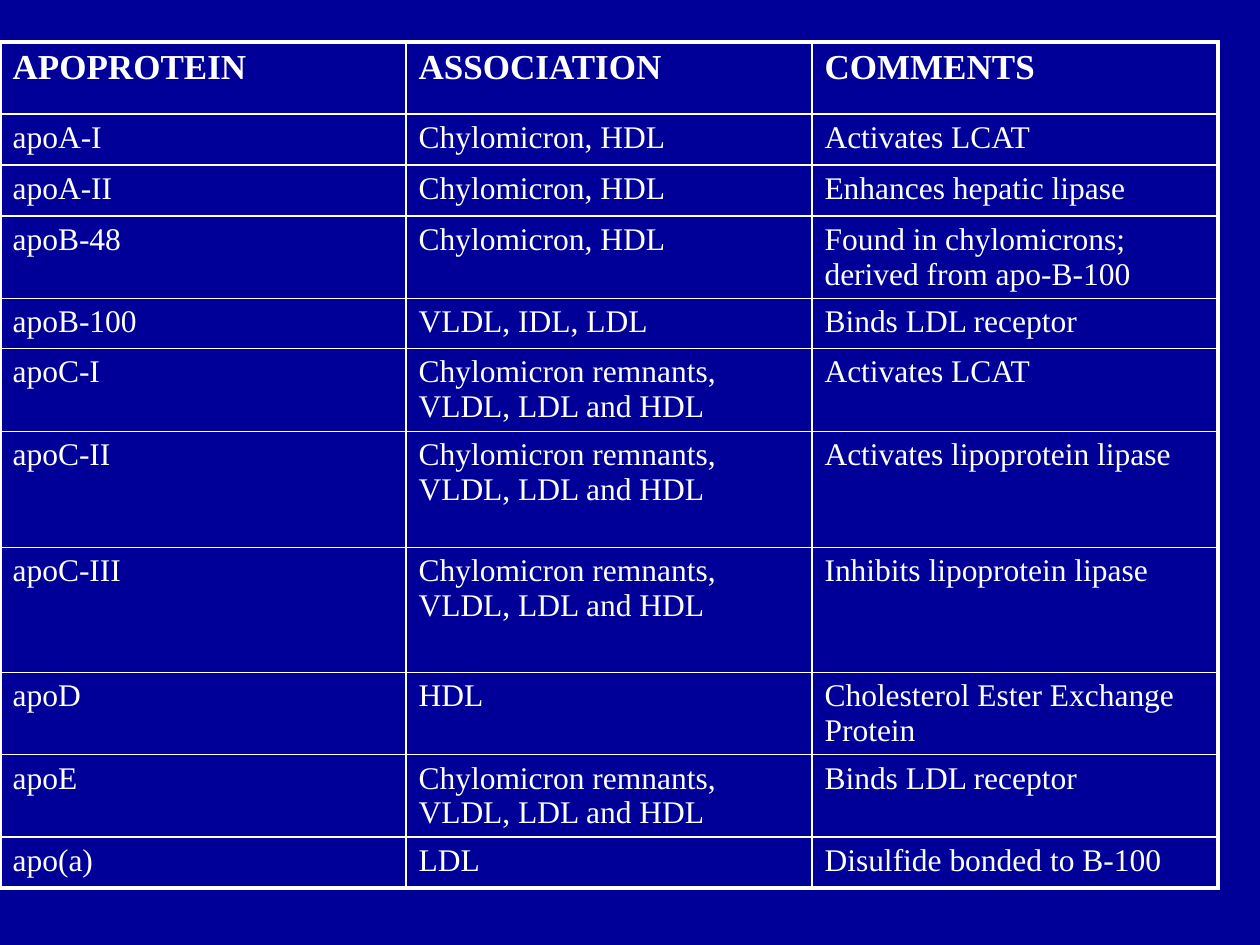
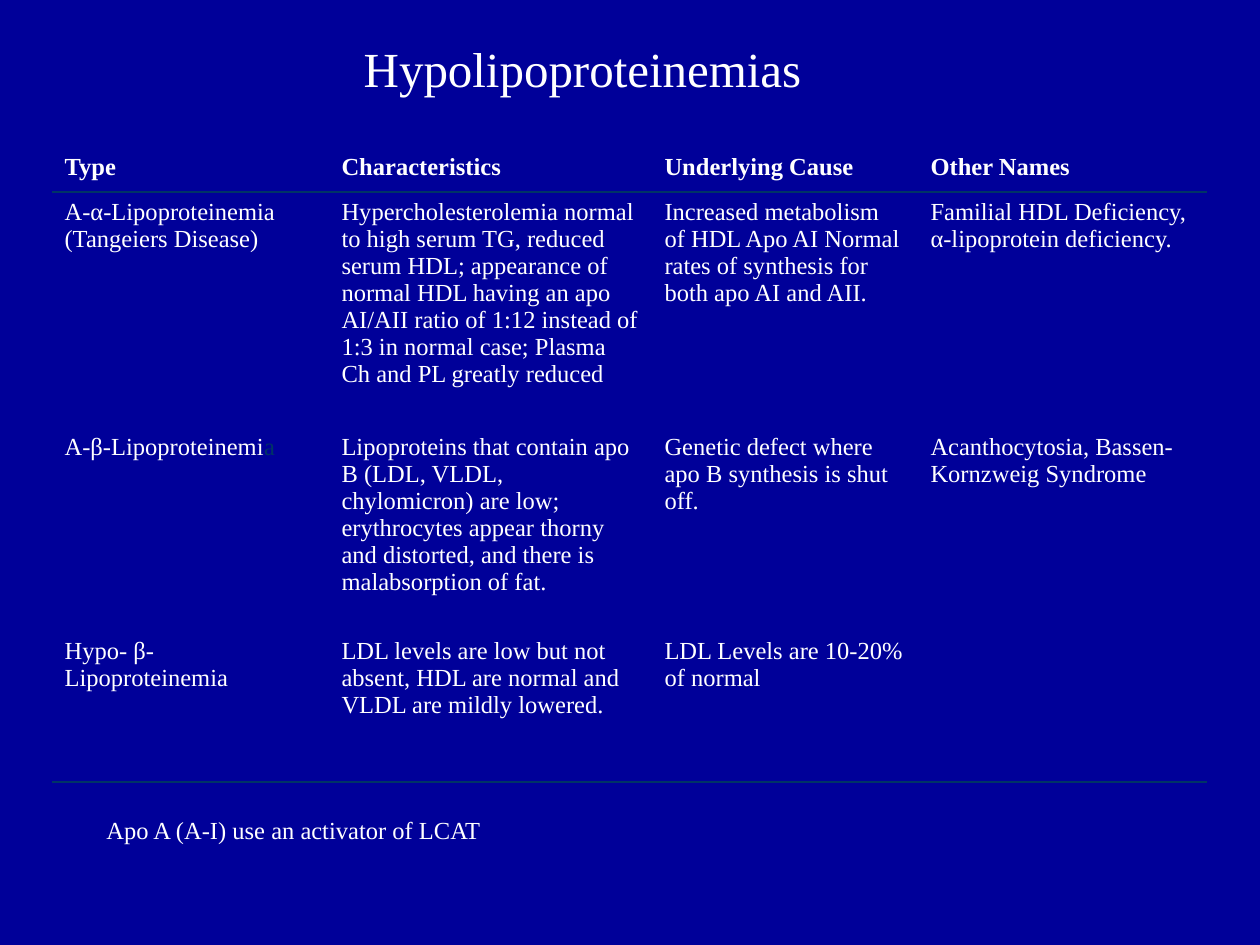
"""Build two slides on apoproteins and hypolipoproteinemias."""
from lxml import etree
from pptx import Presentation
from pptx.dml.color import RGBColor
from pptx.enum import text
from pptx.oxml import ns
from pptx import util as u

PX = 914400 / 126
NAVY = RGBColor(0x00, 0x00, 0x99)
WHITE = RGBColor(0xFF, 0xFF, 0xFF)
TEAL = RGBColor(0x00, 0x33, 0x66)
FONT = "Times New Roman"
THICK, THIN = 2.25, 1


def style(paragraph, size, bold=False):
    for run in paragraph.runs:
        run.font.name = FONT
        run.font.size = u.Pt(size)
        run.font.bold = bold
        run.font.color.rgb = WHITE


def build_table(slide, left, top, widths, heights, rows, sizes, color, border_widths):
    frame = slide.shapes.add_table(
        len(rows), len(widths), round(left * PX), round(top * PX),
        round(sum(widths) * PX), round(sum(heights) * PX))
    table = frame.table
    table.first_row = table.horz_banding = False
    for column, width in zip(table.columns, widths):
        column.width = round(width * PX)
    for r, (row, height) in enumerate(zip(rows, heights)):
        table.rows[r].height = round(height * PX)
        for c, wording in enumerate(row):
            cell = table.cell(r, c)
            cell.text_frame.text = wording
            style(cell.text_frame.paragraphs[0], sizes[r > 0], r == 0)
            properties = cell._tc.get_or_add_tcPr()
            for side, width in zip("LRTB", border_widths(r, c)):
                line = etree.SubElement(properties, ns.qn(f"a:ln{side}"))
                if width:
                    line.set("w", str(u.Pt(width)))
                    fill = etree.SubElement(line, ns.qn("a:solidFill"))
                    etree.SubElement(fill, ns.qn("a:srgbClr"), val=str(color))
                else:
                    etree.SubElement(line, ns.qn("a:noFill"))
            cell.fill.background()
    return table


prs = Presentation()
prs.slide_width = round(1260 * PX)
prs.slide_height = round(945 * PX)
apoproteins, deficiencies = [prs.slides.add_slide(prs.slide_layouts[6]) for _ in range(2)]
for slide in prs.slides:
    slide.background.fill.solid()
    slide.background.fill.fore_color.rgb = NAVY

REMNANTS = "Chylomicron remnants, VLDL, LDL and HDL"
apoprotein_rows = [
    ("APOPROTEIN", "ASSOCIATION", "COMMENTS"),
    ("apoA-I", "Chylomicron, HDL", "Activates LCAT"),
    ("apoA-II", "Chylomicron, HDL", "Enhances hepatic lipase"),
    ("apoB-48", "Chylomicron, HDL", "Found in chylomicrons; derived from apo-B-100"),
    ("apoB-100", "VLDL, IDL, LDL", "Binds LDL receptor"),
    ("apoC-I", REMNANTS, "Activates LCAT"),
    ("apoC-II", REMNANTS, "Activates lipoprotein lipase"),
    ("apoC-III", REMNANTS, "Inhibits lipoprotein lipase"),
    ("apoD", "HDL", "Cholesterol Ester Exchange Protein"),
    ("apoE", REMNANTS, "Binds LDL receptor"),
    ("apo(a)", "LDL", "Disulfide bonded to B-100"),
]
last = len(apoprotein_rows) - 1
build_table(
    apoproteins, 0, 42, [406] * 3, [72, 51, 51, 82, 50, 83, 116, 125, 82, 82, 51],
    apoprotein_rows, (20, 18), WHITE,
    lambda r, c: [THICK if edge else THIN for edge in (c == 0, c == 2, r == 0, r == last)])

deficiency_rows = [
    ("Type", "Characteristics", "Underlying Cause", "Other Names"),
    ("A-α-Lipoproteinemia (Tangeiers Disease)",
     "Hypercholesterolemia normal to high serum TG, reduced serum HDL; appearance of "
     "normal HDL having an apo AI/AII ratio of 1:12 instead of 1:3 in normal case; "
     "Plasma Ch and PL greatly reduced",
     "Increased metabolism of HDL Apo AI Normal rates of synthesis for both apo AI and AII.",
     "Familial HDL Deficiency, α-lipoprotein deficiency."),
    ("A-β-Lipoproteinemi",
     "Lipoproteins that contain apo B (LDL, VLDL, chylomicron) are low; erythrocytes "
     "appear thorny and distorted, and there is malabsorption of fat.",
     "Genetic defect where apo B synthesis is shut off.",
     "Acanthocytosia, Bassen-Kornzweig Syndrome"),
    ("Hypo- β-Lipoproteinemia",
     "LDL levels are low but not absent, HDL are normal and VLDL are mildly lowered.",
     "LDL Levels are 10-20% of normal", ""),
]
deficiency_table = build_table(
    deficiencies, 52, 147, [277, 323, 266, 289], [45, 235, 204, 151],
    deficiency_rows, (14, 14), TEAL,
    lambda r, c: (0, 0, THIN if r == 1 else 0, THIN if r in (0, 3) else 0))
beta_name = deficiency_table.cell(2, 0).text_frame.paragraphs[0]
beta_name.add_run().text = "a"
style(beta_name, 14)
beta_name.runs[-1].font.color.rgb = TEAL

for wording, left, top, width, height, size, align in (
    ("Hypolipoproteinemias", 220, 32, 725, 72, 28, text.PP_ALIGN.CENTER),
    ("Apo A (A-I) use an activator of LCAT", 94, 809, 914, 43, 14, text.PP_ALIGN.LEFT),
):
    box = deficiencies.shapes.add_textbox(*[round(n * PX) for n in (left, top, width, height)])
    box.text_frame.word_wrap = True
    box.text_frame.auto_size = text.MSO_AUTO_SIZE.SHAPE_TO_FIT_TEXT
    box.text_frame.text = wording
    box.text_frame.paragraphs[0].alignment = align
    style(box.text_frame.paragraphs[0], size)

prs.save("out.pptx")
